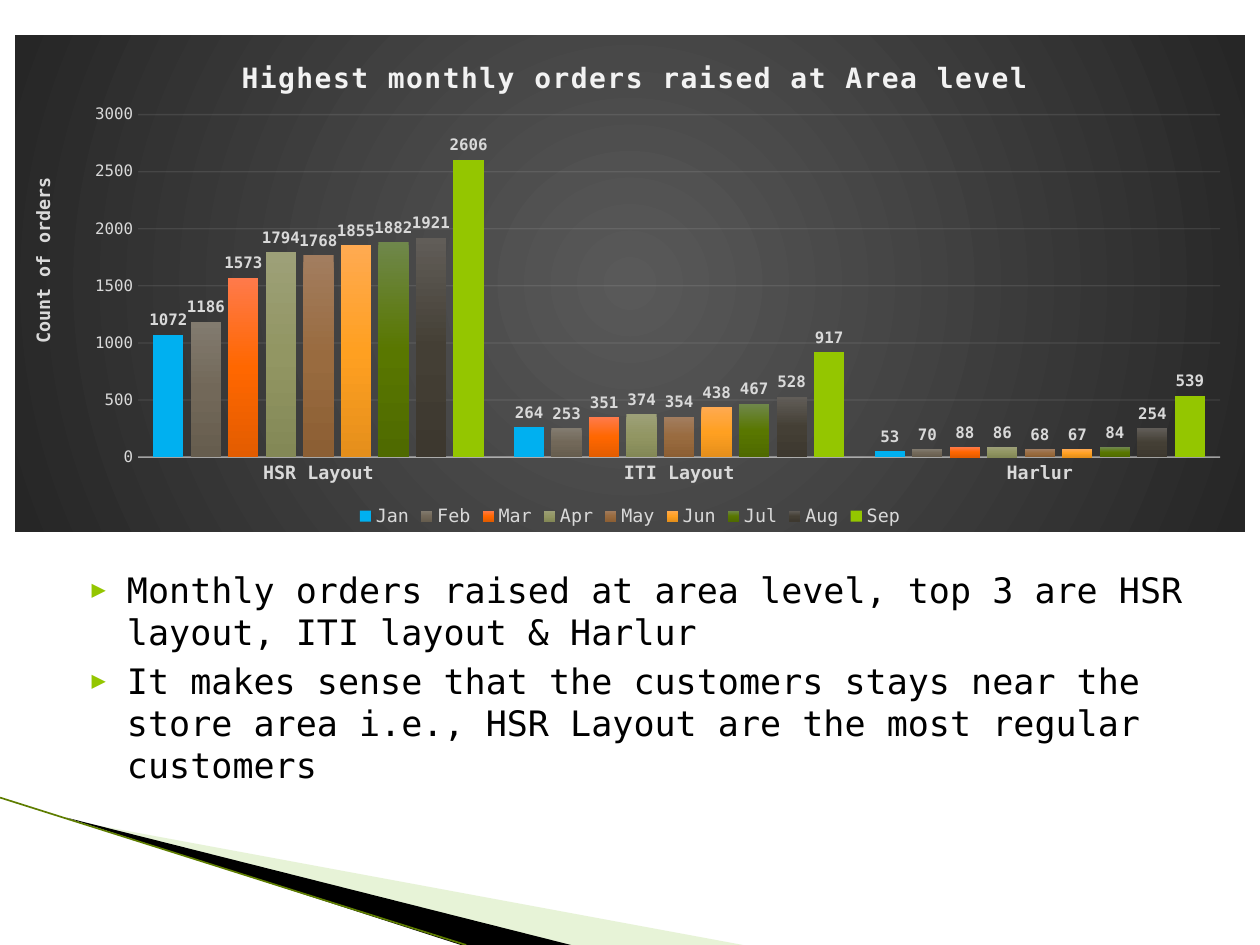
from copy import deepcopy
from lxml import etree
from pptx import Presentation, util as u
from pptx.chart import data as cd
from pptx.dml import color as dml
from pptx.enum import chart as ch, shapes
from pptx.oxml import parse_xml, ns

FONT = "DejaVu Sans Mono"
GREY = "D9D9D9"


def rgb(value):
    return dml.RGBColor.from_string(value)


def write(font, p=None, text="", size=9, color=GREY, bold=False):
    if p is not None:
        r = p.add_run()
        r.text = text
        font = r.font
    font.name, font.size, font.bold = FONT, u.Pt(size), bold
    font.color.rgb = rgb(color)
    return font


prs = Presentation()
prs.slide_width, prs.slide_height = W, H = u.Inches(10), u.Inches(7.5)
s = prs.slides.add_slide(prs.slide_layouts[6])

wedges = [
    ("C3E19D", 40, [(0.55, 6.51), (5.95, 7.51), (4.56, 7.51)]),
    ("000000", 100, [(0.53, 6.49), (4.57, 7.51), (3.72, 7.52)]),
]
for color, alpha, points in wedges:
    points = [(u.Inches(x), u.Inches(y)) for x, y in points]
    fb = s.shapes.build_freeform(*points[0])
    fb.add_line_segments(points[1:], close=True)
    sp = fb.convert_to_shape()
    sp.shadow.inherit = False
    sp.line.fill.background()
    sp.fill.solid()
    sp.fill.fore_color.rgb = rgb(color)
    if alpha < 100:
        clr = sp._element.spPr.find(".//" + ns.qn("a:srgbClr"))
        etree.SubElement(clr, ns.qn("a:alpha"), val=str(alpha * 1000))

edge = s.shapes.add_connector(shapes.MSO_CONNECTOR.STRAIGHT,
                              0, int(H * 0.844), int(W * 0.37), H)
edge.line.width = u.Pt(0.95)
edge.line.color.rgb = rgb("5E7D00")
etree.SubElement(edge._element.spPr, ns.qn("a:effectLst"))

tb = s.shapes.add_textbox(u.Inches(0.51), u.Inches(4.46), int(W * 0.9), u.Inches(2.35))
tf = tb.text_frame
tf.word_wrap = True
bullets = [
    "Monthly orders raised at area level, top 3 are HSR layout, ITI layout & Harlur",
    "It makes sense that the customers stays near the store area i.e., "
    "HSR Layout are the most regular customers",
]
for i, text in enumerate(bullets):
    p = tf.add_paragraph() if i else tf.paragraphs[0]
    p.space_before = u.Pt(4)
    write(None, p, text, size=20, color="000000")
    pPr = p._p.get_or_add_pPr()
    pPr.set("marL", str(u.Inches(0.4)))
    pPr.set("indent", str(u.Inches(-0.28)))
    clr = etree.SubElement(pPr, ns.qn("a:buClr"))
    etree.SubElement(clr, ns.qn("a:srgbClr"), val="94C600")
    etree.SubElement(pPr, ns.qn("a:buSzPct"), val="68000")
    etree.SubElement(pPr, ns.qn("a:buFont"), typeface=FONT)
    etree.SubElement(pPr, ns.qn("a:buChar"), char="▶")

orders = [
    ("Jan", (1072, 264, 53), ["00B0F0"]),
    ("Feb", (1186, 253, 70), ["827B6F", "726859", "665D4E"]),
    ("Mar", (1573, 351, 88), ["FF7A4B", "FF6700", "E35C00"]),
    ("Apr", (1794, 374, 86), ["9DA078", "929663", "838856"]),
    ("May", (1768, 354, 68), ["A27D5F", "996B3F", "8C5F34"]),
    ("Jun", (1855, 438, 67), ["FFAA51", "FFA021", "E58F1B"]),
    ("Jul", (1882, 467, 84), ["6F874B", "597700", "4F6A00"]),
    ("Aug", (1921, 528, 254), ["615D58", "443F35", "3D382F"]),
    ("Sep", (2606, 917, 539), ["94C600"]),
]
data = cd.CategoryChartData()
data.categories = ["HSR Layout", "ITI Layout", "Harlur"]
for month, values, colors in orders:
    data.add_series(month, values)
chart = s.shapes.add_chart(ch.XL_CHART_TYPE.COLUMN_CLUSTERED, u.Inches(0.12), u.Inches(0.28),
                           int(W * 0.976), u.Inches(3.94), data).chart
write(chart.font, size=10, color="000000")

chart.has_title = True
title = write(None, chart.chart_title.text_frame.paragraphs[0],
              "Highest monthly orders raised at Area level", size=16, color="F2F2F2", bold=True)
title._element.set("spc", "100")
chart.chart_title.include_in_layout = False

chart.has_legend = True
chart.legend.position = ch.XL_LEGEND_POSITION.BOTTOM
chart.legend.include_in_layout = False
write(chart.legend.font, size=10.5)

months, areas = chart.value_axis, chart.category_axis
for axis, size, bold in [(months, 9, False), (areas, 10.5, True)]:
    axis.major_tick_mark = axis.minor_tick_mark = ch.XL_TICK_MARK.NONE
    write(axis.tick_labels.font, size=size, bold=bold)
months.minimum_scale, months.maximum_scale, months.major_unit = 0, 3000, 500
write(None, months.axis_title.text_frame.paragraphs[0], "Count of orders", size=10.5, bold=True)
months.format.line.fill.background()
for line, width, alpha in [(months.major_gridlines.format.line, 0.75, 10),
                           (areas.format.line, 1, 54)]:
    line.width = u.Pt(width)
    line.color.rgb = rgb("F2F2F2")
    clr = line._ln.find(".//" + ns.qn("a:srgbClr"))
    etree.SubElement(clr, ns.qn("a:alpha"), val=str(alpha * 1000))

plot = chart.plots[0]
plot.gap_width, plot.overlap, plot.vary_by_categories = 100, -24, False
for ser, (month, values, colors) in zip(plot.series, orders):
    fill = ser.format.fill
    if len(colors) == 1:
        fill.solid()
        fill.fore_color.rgb = rgb(colors[0])
    else:
        fill.gradient()
        fill.gradient_angle = 270
        stops = ser._element.find(".//" + ns.qn("a:gsLst"))
        stops.insert(1, deepcopy(stops[0]))
        for i, color in enumerate(colors):
            stop = fill.gradient_stops[i]
            stop.color.rgb, stop.position = rgb(color), i / 2
    labels = ser.data_labels
    labels.show_value = True
    labels.position = ch.XL_LABEL_POSITION.OUTSIDE_END
    write(labels.font, bold=True)

space = chart._chartSpace
space.find(ns.qn("c:chart")).addnext(parse_xml(
    f'<c:spPr {ns.nsdecls("c", "a")}><a:gradFill><a:gsLst>'
    '<a:gs pos="0"><a:srgbClr val="595959"/></a:gs>'
    '<a:gs pos="100000"><a:srgbClr val="262626"/></a:gs></a:gsLst>'
    '<a:path path="circle"><a:fillToRect l="50000" t="50000" r="50000" b="50000"/></a:path>'
    '</a:gradFill><a:ln><a:noFill/></a:ln></c:spPr>'))

area = space.find(".//" + ns.qn("c:plotArea"))
places = [
    (area, 0, [("layoutTarget", "inner")], [("x", 0.1), ("y", 0.16), ("w", 0.88), ("h", 0.69)]),
    (chart.chart_title._element, 1, [], [("x", 0.18), ("y", 0.04)]),
    (months.axis_title._element, 1, [], [("x", 0.01), ("y", 0.28)]),
]
for part, index, target, shares in places:
    for old in part.findall(ns.qn("c:layout")):
        part.remove(old)
    layout = etree.Element(ns.qn("c:layout"))
    part.insert(index, layout)
    manual = etree.SubElement(layout, ns.qn("c:manualLayout"))
    for tag, val in target + [("xMode", "edge"), ("yMode", "edge")] + shares:
        etree.SubElement(manual, ns.qn("c:" + tag), val=str(val))

prs.save("out.pptx")
